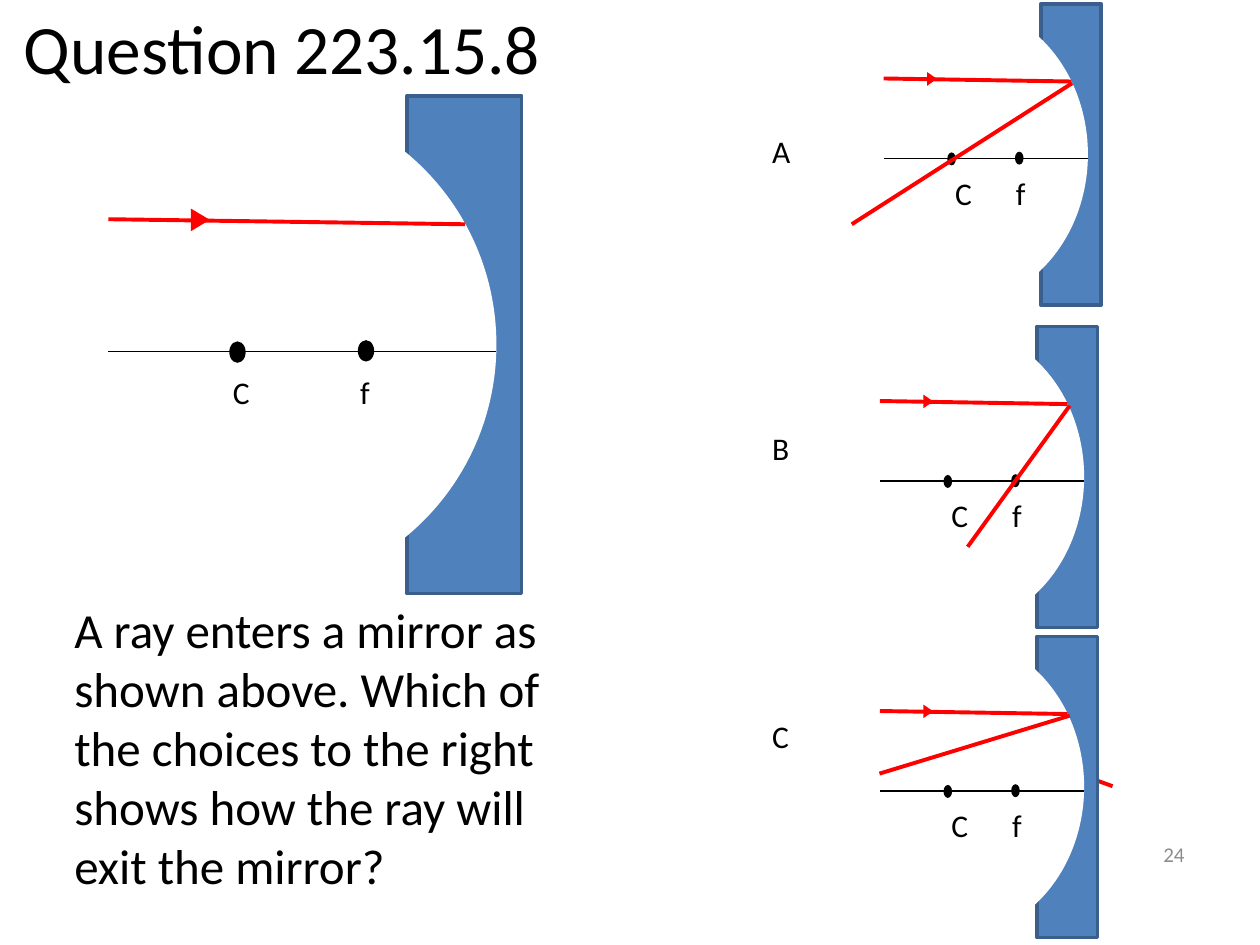
from dataclasses import dataclass

from lxml import etree
from pptx import Presentation
from pptx.dml.color import RGBColor
from pptx.enum.shapes import MSO_CONNECTOR, MSO_SHAPE
from pptx.enum.text import MSO_ANCHOR, MSO_AUTO_SIZE, PP_ALIGN
from pptx.oxml.ns import qn
from pptx.util import Inches, Pt

STRAIGHT = MSO_CONNECTOR.STRAIGHT
RECTANGLE, OVAL, TRIANGLE = MSO_SHAPE.RECTANGLE, MSO_SHAPE.OVAL, MSO_SHAPE.ISOSCELES_TRIANGLE
LEFT, CENTER, RIGHT = PP_ALIGN.LEFT, PP_ALIGN.CENTER, PP_ALIGN.RIGHT
TOP, MIDDLE = MSO_ANCHOR.TOP, MSO_ANCHOR.MIDDLE
NO_FIT, GROW = MSO_AUTO_SIZE.NONE, MSO_AUTO_SIZE.SHAPE_TO_FIT_TEXT

COLUMNS, ROWS = 100, 75
MIRROR_COLUMNS, MIRROR_ROWS = 41.4, 39.5


@dataclass(frozen=True)
class Theme:
    font: str = "Calibri"
    ink: str = "000000"
    paper: str = "FFFFFF"
    muted: str = "8C8C8C"
    glass: str = "4F81BD"
    glass_edge: str = "3A5F8C"
    ray: str = "FF0000"
    title_size: float = 39.6
    body_size: float = 28
    label_size: float = 18
    number_size: float = 12
    axis_width: float = 0.75
    edge_width: float = 2
    ray_width: float = 2.25


class RayDiagramSlide:
    """Draws mirrors, rays and text on a slide divided into columns and rows."""

    def __init__(self, presentation, theme):
        self.theme = theme
        self.slide = presentation.slides.add_slide(presentation.slide_layouts[1])
        self.column = presentation.slide_width / COLUMNS
        self.row = presentation.slide_height / ROWS

    def place(self, *lengths):
        units = (self.column, self.row) * 2
        return [round(length * unit) for length, unit in zip(lengths, units)]

    def format_text(self, shape, text, size, color, align=LEFT, anchor=TOP, wrap=True, fit=NO_FIT):
        frame = shape.text_frame
        frame.text = text
        frame.word_wrap = wrap
        frame.auto_size = fit
        frame.vertical_anchor = anchor
        paragraph = frame.paragraphs[0]
        paragraph.alignment = align
        paragraph.space_before = Pt(0)
        font = paragraph.runs[0].font
        font.name = self.theme.font
        font.size = Pt(size)
        font.color.rgb = RGBColor.from_string(color)

    def placeholder(self, index, bounds, text, size, **options):
        shape = self.slide.placeholders[index]
        shape.left, shape.top, shape.width, shape.height = self.place(*bounds)
        self.format_text(shape, text, size, self.theme.ink, **options)
        return shape

    def title(self, bounds, text):
        self.placeholder(0, bounds, text, self.theme.title_size, align=CENTER, anchor=MIDDLE)

    def body(self, bounds, text):
        shape = self.placeholder(1, bounds, text, self.theme.body_size)
        properties = shape.text_frame.paragraphs[0]._p.get_or_add_pPr()
        properties.set("marL", "0")
        properties.set("indent", "0")
        etree.SubElement(properties, qn("a:buNone"))

    def number(self, bounds, text):
        shape = self.slide.shapes.add_textbox(*self.place(*bounds))
        self.format_text(shape, text, self.theme.number_size, self.theme.muted, RIGHT, MIDDLE)

    def label(self, bounds, text, shapes=None):
        shape = (shapes or self.slide.shapes).add_textbox(*self.place(*bounds))
        self.format_text(shape, text, self.theme.label_size, self.theme.ink, wrap=False, fit=GROW)

    def line(self, ends, color, width, shapes=None):
        connector = (shapes or self.slide.shapes).add_connector(STRAIGHT, *self.place(*ends))
        connector.line.color.rgb = RGBColor.from_string(color)
        connector.line.width = Pt(width)
        etree.SubElement(connector._element.spPr, qn("a:effectLst"))

    def ray(self, ends, shapes=None):
        self.line(ends, self.theme.ray, self.theme.ray_width, shapes)

    def solid(self, kind, bounds, color, shapes, edge=None):
        shape = shapes.add_shape(kind, *self.place(*bounds))
        shape.shadow.inherit = False
        shape.fill.solid()
        shape.fill.fore_color.rgb = RGBColor.from_string(color)
        if edge:
            shape.line.color.rgb = RGBColor.from_string(edge)
            shape.line.width = Pt(self.theme.edge_width)
        else:
            shape.line.fill.background()
        return shape

    def mirror(self, left, top, width=MIRROR_COLUMNS, height=MIRROR_ROWS):
        theme = self.theme
        shapes = self.slide.shapes.add_group_shape().shapes
        across, down = width / MIRROR_COLUMNS, height / MIRROR_ROWS

        def box(x, y, w, h):
            return left + x * across, top + y * down, w * across, h * down

        def ends(x1, y1, x2, y2):
            return left + x1 * across, top + y1 * down, left + x2 * across, top + y2 * down

        self.solid(RECTANGLE, box(32.3, 0, 9.1, 39.5), theme.glass, shapes, theme.glass_edge)
        self.solid(OVAL, box(0, 0, 39.4, 39.5), theme.paper, shapes)
        self.line(ends(8.6, 20.3, 39.4, 20.3), theme.ink, theme.axis_width, shapes)
        for x, y in ((28.4, 19.4), (18.2, 19.5)):
            self.solid(OVAL, box(x, y, 1.3, 1.7), theme.ink, shapes)
        self.ray(ends(8.6, 9.8, 36.9, 10.2), shapes)
        self.label(box(17.5, 21.5, 3.8, 4), "C", shapes)
        self.label(box(27.6, 21.5, 2.8, 4.2), "f", shapes)
        middle_x, middle_y, thickness, length = box(15.9, 9.85, 1.5, 1.8)
        bounds = (middle_x - length / 2, middle_y - thickness / 2, length, thickness)
        self.solid(TRIANGLE, bounds, theme.ray, shapes).rotation = 90


def main():
    presentation = Presentation()
    presentation.slide_width, presentation.slide_height = Inches(10), Inches(7.5)
    page = RayDiagramSlide(presentation, Theme())
    page.title((-0.5, -2.5, 45.8, 12.5), "Question 223.15.8")
    page.body(
        (4.9, 47.1, 44.2, 25.5),
        "A ray enters a mirror as shown above. Which of the choices to the right "
        "shows how the ray will exit the mirror?",
    )
    page.number((71.7, 65.8, 23.3, 4), "24")
    page.ray((77, 58.3, 88.3, 62.4))
    page.mirror(0, 7.6)
    choices = (
        ("A", 10, (65.6, 0.3), (67.6, 17.8, 85.1, 6.6)),
        ("B", 33.6, (65.3, 25.9), (76.8, 43.4, 84.9, 32.2)),
        ("C", 56.4, (65.3, 50.5), (69.8, 61.4, 84.9, 56.8)),
    )
    for letter, label_top, corner, reflected_ray in choices:
        page.mirror(*corner, width=21.8, height=23.9)
        page.ray(reflected_ray)
        page.label((60.3, label_top, 3.7, 4), letter)
    presentation.save("out.pptx")


if __name__ == "__main__":
    main()
